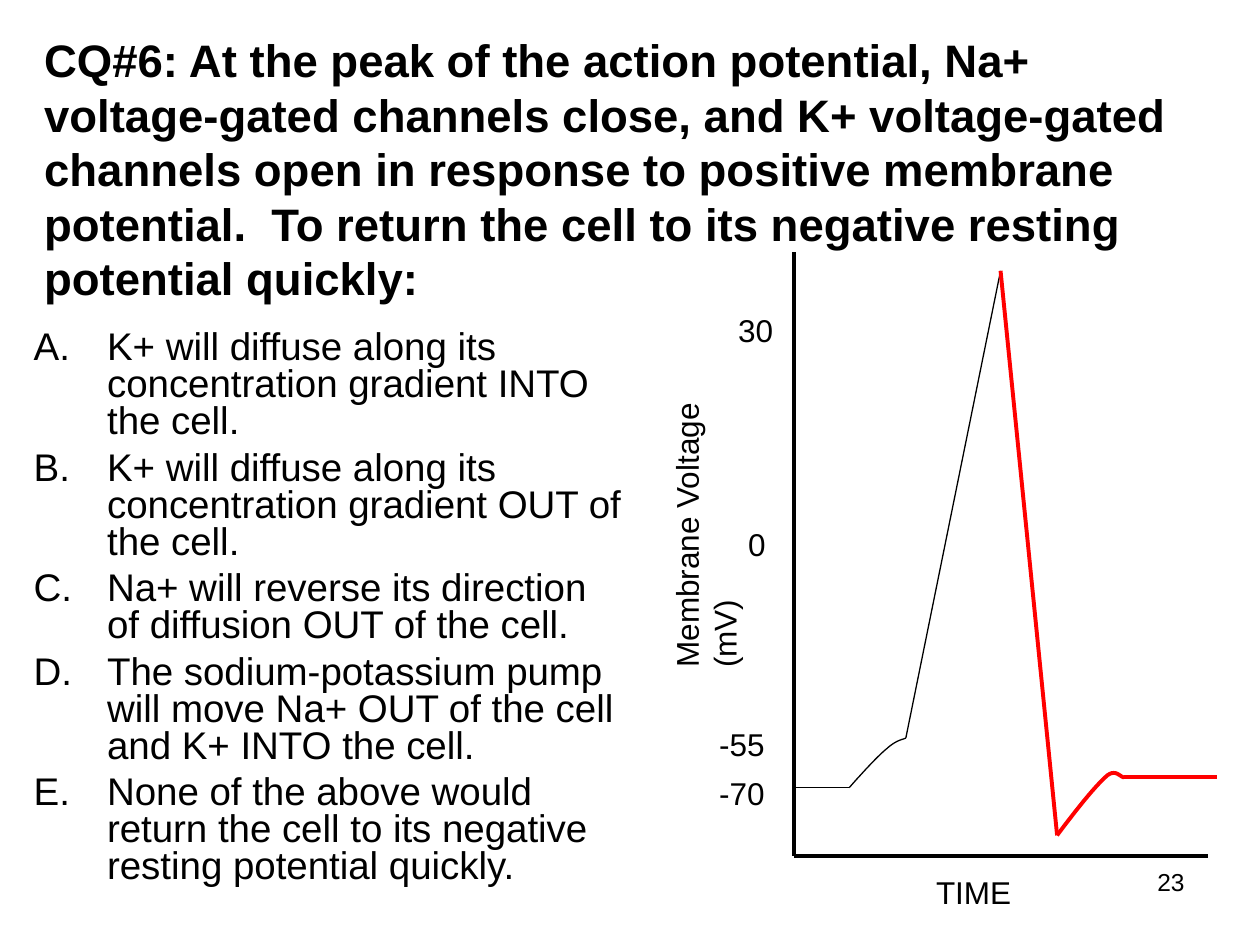
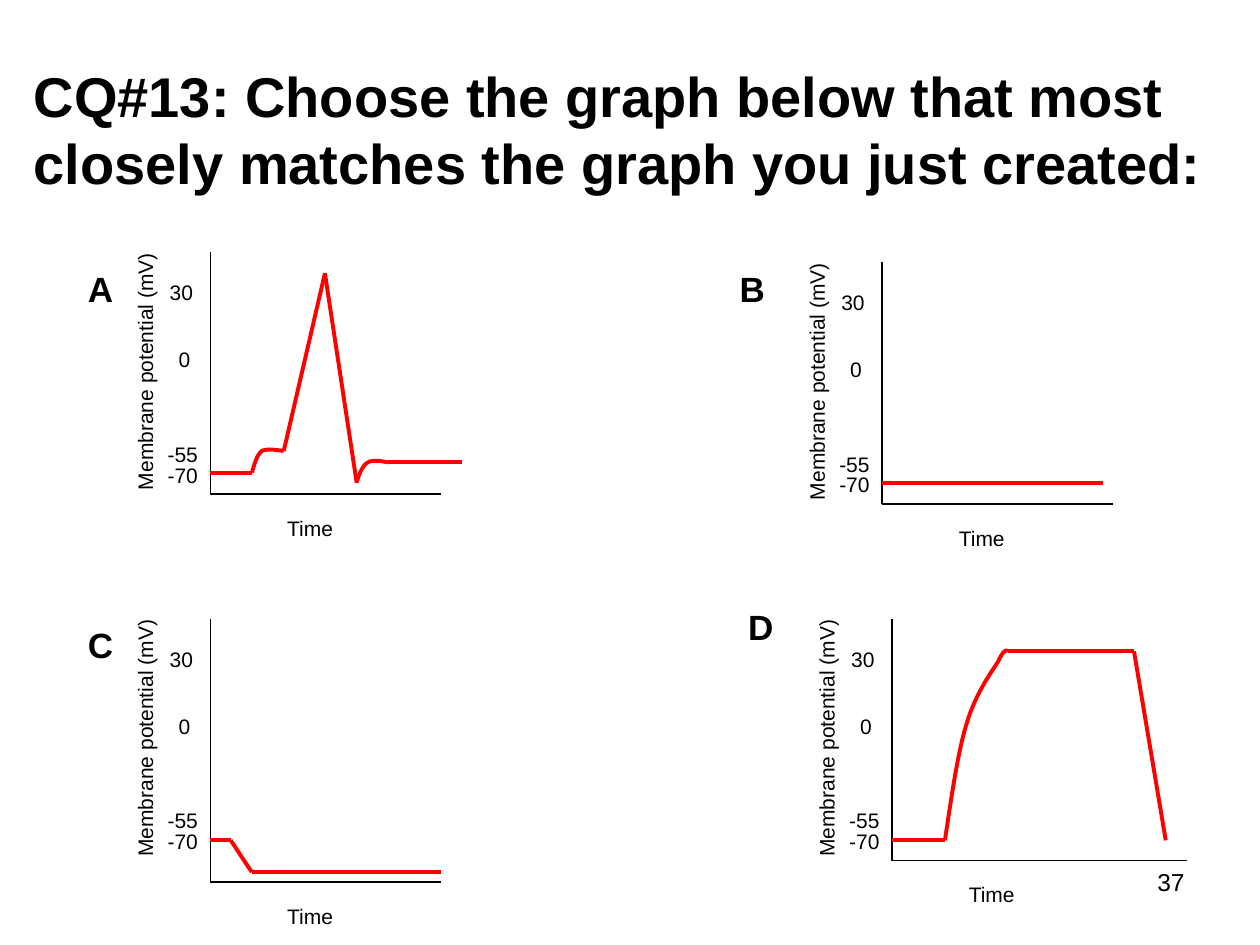
"""Build two quiz slides about the action potential."""
from dataclasses import dataclass

from lxml.etree import SubElement as Sub
from pptx import Presentation as Deck
from pptx.dml.color import RGBColor as Color
from pptx.enum.shapes import MSO_CONNECTOR as Link
from pptx.enum.text import MSO_ANCHOR as Anchor, PP_ALIGN as Align
from pptx.oxml.ns import qn
from pptx.util import Cm, Pt


@dataclass(frozen=True)
class Theme:
    """Hold the colours, type sizes and line widths."""
    font: str = "Arial"
    ink: Color = Color(0, 0, 0)
    red: Color = Color(255, 0, 0)
    head: int = 26
    large: int = 32
    body: int = 22
    mark: int = 20
    label: int = 18
    page: int = 14
    small: int = 12
    thin: float = 0.75
    thick: float = 2.25


LOOK = Theme()

CHOICES = [
    "K+ will diffuse along its concentration gradient INTO the cell.",
    "K+ will diffuse along its concentration gradient OUT of the cell.",
    "Na+ will reverse its direction of diffusion OUT of the cell.",
    "The sodium-potassium pump will move Na+ OUT of the cell and K+ INTO the cell.",
    "None of the above would return the cell to its negative resting potential quickly.",
]

TICKS = [("-70", -1.11, 4.11, 1.12), ("-55", -1.11, 3.69, 1.12),
         ("0", -0.89, 1.78, 0.74), ("30", -1.07, 0.43, 1.09)]

RISE = [
    [(17.12, 15.88)],
    [(17.42, 15.54), (17.7, 15.24), (17.88, 15.09),
     (18.08, 14.91), (18.21, 14.91), (18.26, 14.88)],
    [(20.17, 5.46)],
]
FALL = [
    [(21.31, 16.84)],
    [(21.67, 16.36), (22.05, 15.88), (22.28, 15.67),
     (22.48, 15.47), (22.58, 15.67), (22.66, 15.67)],
    [(24.54, 15.67)],
]

GRAPHS = [
    ("A", (1.52, 5.26), (4.24, 5.08), (4.65, 4.88), (4.24, 9.53), [
        [(5.08, 9.53)],
        [(5.13, 9.35), (5.18, 9.17), (5.28, 9.09),
         (5.38, 9.04), (5.56, 9.07), (5.72, 9.09)],
        [(6.55, 5.51)],
        [(7.19, 9.73)],
        [(7.24, 9.55), (7.32, 9.37), (7.42, 9.32),
         (7.52, 9.25), (7.8, 9.32), (7.82, 9.32)],
        [(9.32, 9.32)],
    ]),
    ("B", (14.66, 5.26), (17.78, 5.28), (4.65, 4.88), (17.78, 9.73), [
        [(22.23, 9.73)],
    ]),
    ("C", (1.52, 12.45), (4.24, 12.47), (4.65, 5.31), (4.24, 16.94), [
        [(4.65, 16.94)],
        [(4.83, 17.2), (4.98, 17.45), (5.08, 17.58)],
        [(8.89, 17.58)],
    ]),
    ("D", (14.83, 12.09), (17.98, 12.47), (5.94, 4.88), (17.98, 16.94), [
        [(19.05, 16.94)],
        [(19.18, 16.08), (19.3, 15.21), (19.48, 14.61),
         (19.66, 14), (19.96, 13.59), (20.12, 13.34),
         (20.24, 13.08), (20.29, 13.11), (20.32, 13.13)],
        [(22.86, 13.13)],
        [(23.5, 16.94)],
    ]),
]


def style(para, size, bold=False):
    """Set the font of a whole paragraph."""
    font = para.font
    font.name, font.size, font.bold = LOOK.font, Pt(size), bold
    font.color.rgb = LOOK.ink


def write(slide, text, box, size, bold=False, wrap=False, turn=0):
    """Add a text box with one paragraph and return its frame."""
    shape = slide.shapes.add_textbox(*map(Cm, box))
    shape.rotation = turn
    frame = shape.text_frame
    frame.word_wrap = wrap
    frame.text = text
    style(frame.paragraphs[0], size, bold)
    return frame


def title(slide, text, box, size):
    """Add the bold slide title."""
    frame = write(slide, text, box, size, bold=True, wrap=True)
    frame.vertical_anchor = Anchor.MIDDLE


def number(slide, page):
    """Add the page number at the lower right."""
    frame = write(slide, page, (18.21, 17.35, 5.92, 1.32), LOOK.page, wrap=True)
    frame.paragraphs[0].alignment = Align.RIGHT


def letters(slide, items, box):
    """Add a list lettered A, B, C and so on."""
    frame = slide.shapes.add_textbox(*map(Cm, box)).text_frame
    frame.word_wrap = True
    for rank, item in enumerate(items):
        para = frame.add_paragraph() if rank else frame.paragraphs[0]
        para.text = item
        para.line_spacing = 0.8
        para.space_before = Pt(5.5 if rank else 0)
        props = para._p.get_or_add_pPr()
        props.set("marL", str(Cm(1.48)))
        props.set("indent", str(-Cm(1.48)))
        Sub(props, qn("a:buFont"), typeface=LOOK.font)
        Sub(props, qn("a:buAutoNum"), type="alphaUcPeriod")
        style(para, LOOK.body)


def stroke(shape, color, width):
    """Set the colour and width of an outline."""
    shape.line.color.rgb = color
    shape.line.width = Pt(width)


def line(slide, start, end, color, width):
    """Add a straight line without a shadow."""
    link = slide.shapes.add_connector(Link.STRAIGHT, *map(Cm, (*start, *end)))
    stroke(link, color, width)
    Sub(link._element.spPr, qn("a:effectLst"))


def bend(knots, steps=12):
    """Return points along one cubic curve, after its start."""
    points = []
    for step in range(1, steps + 1):
        t = step / steps
        parts = ((1 - t) ** 3, 3 * t * (1 - t) ** 2, 3 * t * t * (1 - t), t ** 3)
        points.append(tuple(Cm(sum(w * v for w, v in zip(parts, axis)))
                            for axis in zip(*knots)))
    return points


def curve(slide, knots, color, width):
    """Add an open outline through joined cubic curves."""
    pen = slide.shapes.build_freeform(*map(Cm, knots[0]))
    for first in range(0, len(knots) - 1, 3):
        pen.add_line_segments(bend(knots[first:first + 4]), close=False)
    shape = pen.convert_to_shape()
    shape.shadow.inherit = False
    shape.fill.background()
    stroke(shape, color, width)


def trace(slide, start, parts, color, width):
    """Draw a voltage trace from straight and curved parts."""
    for part in parts:
        if len(part) == 1:
            line(slide, start, part[0], color, width)
        else:
            curve(slide, [start, *part], color, width)
        start = part[-1]


def axes(slide, top, size, width):
    """Draw an upright and a level axis."""
    (x, y), (wide, high) = top, size
    base = (x, y + high)
    line(slide, top, base, LOOK.ink, width)
    line(slide, base, (x + wide, y + high), LOOK.ink, width)


def graph(slide, mark, spot, top, size, start, parts):
    """Draw one answer graph with its letter, axes, labels and trace."""
    x, y = top
    axes(slide, top, size, LOOK.thin)
    for text, left, down, wide in TICKS:
        write(slide, text, (x + left, y + down, wide, 0.76), LOOK.small)
    write(slide, "Membrane potential (mV)", (x - 3.96, y + 2.03, 5.28, 0.76),
          LOOK.small, turn=270)
    write(slide, "Time", (x + 1.3, y + size[1] + 0.3, 1.45, 0.76), LOOK.small)
    trace(slide, start, parts, LOOK.red, LOOK.thick)
    write(slide, mark, (*spot, 1.02, 1.12), LOOK.mark, bold=True)


def peak(slide):
    """Fill the slide on the peak of the action potential."""
    number(slide, "23")
    title(slide, "CQ#6: At the peak of the action potential, Na+ voltage-gated "
          "channels close, and K+ voltage-gated channels open in response to "
          "positive membrane potential.  To return the cell to its negative "
          "resting potential quickly:", (0.64, 0.64, 23.7, 5.51), LOOK.head)
    letters(slide, CHOICES, (0.43, 6.55, 12.5, 11.63))
    trace(slide, (16, 15.88), RISE, LOOK.ink, LOOK.thin)
    axes(slide, (16, 5.08), (8.36, 12.17), LOOK.thick)
    for text, x, y, wide in [("TIME", 18.62, 17.48, 2.2), ("-70", 14.25, 15.47, 1.42),
                             ("-55", 14.25, 14.5, 1.42), ("0", 14.83, 10.46, 0.86),
                             ("30", 14.63, 6.15, 1.22)]:
        write(slide, text, (x, y, wide, 1.02), LOOK.label)
    write(slide, "Membrane Voltage (mV)", (10.57, 9.17, 7.3, 1.78), LOOK.label,
          wrap=True, turn=270)
    trace(slide, RISE[-1][-1], FALL, LOOK.red, LOOK.thick)


def match(slide):
    """Fill the slide with four graphs to choose from."""
    number(slide, "37")
    title(slide, "CQ#13: Choose the graph below that most closely matches "
          "the graph you just created:", (0.43, 0.76, 24.13, 3.68), LOOK.large)
    for item in GRAPHS:
        graph(slide, *item)


def main():
    """Build and save the deck."""
    deck = Deck()
    deck.slide_width, deck.slide_height = Cm(25.4), Cm(19.05)
    for fill in (peak, match):
        fill(deck.slides.add_slide(deck.slide_layouts[6]))
    deck.save("out.pptx")


if __name__ == "__main__":
    main()
